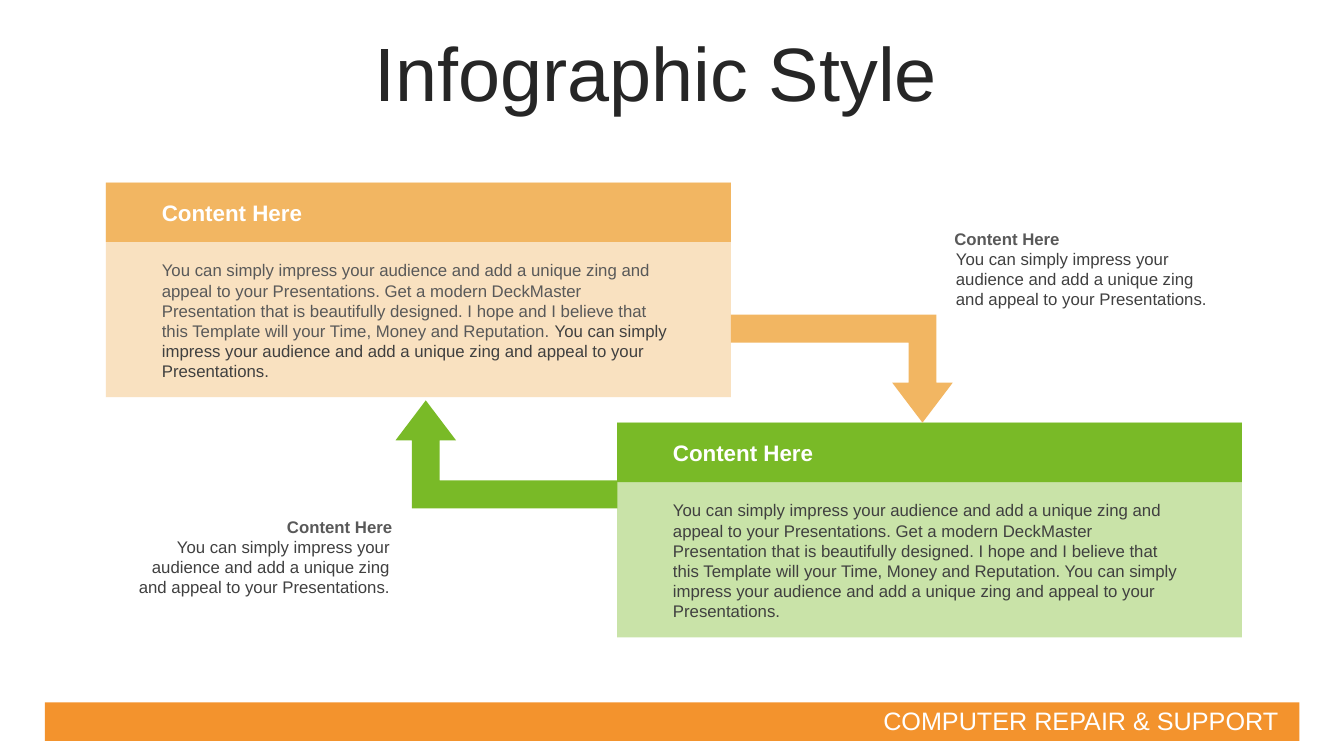
from dataclasses import dataclass

from lxml import etree
from pptx import Presentation
from pptx import util as u
from pptx.dml.color import RGBColor
from pptx.enum import shapes, text
from pptx.oxml.ns import qn

ORANGE, GREEN, FOOTER = "F2B662", "79BA27", "F3932D"
WHITE, BLACK, GREY, DARK = "FFFFFF", "262626", "595959", "404040"
LEFT, CENTER, RIGHT = text.PP_ALIGN.LEFT, text.PP_ALIGN.CENTER, text.PP_ALIGN.RIGHT

HEADING = "Content Here"
IMPRESS = ("You can simply impress your audience and add a unique zing "
           "and appeal to your Presentations.")
DETAIL = (IMPRESS + " Get a modern DeckMaster Presentation that is beautifully designed. "
          "I hope and I believe that this Template will your Time, Money and Reputation. ")


@dataclass
class Panel:
    left: float
    top: float
    color: str
    detail_color: str


@dataclass
class Arrow:
    left: float
    top: float
    color: str
    rotation: int


@dataclass
class Caption:
    left: float
    top: float
    align: text.PP_ALIGN


PANELS = [Panel(2.67, 4.6, ORANGE, GREY), Panel(15.55, 10.65, GREEN, DARK)]
ARROWS = [Arrow(9.97, 10.09, GREEN, 0), Arrow(18.42, 7.93, ORANGE, 180)]
CAPTIONS = [Caption(23.8, 5.64, LEFT), Caption(2.72, 12.89, RIGHT)]


def rgb(color: str) -> RGBColor:
    return RGBColor.from_string(color)


def add_span(para, words: str, *, size: float, color: str, bold: bool = False) -> None:
    span = para.add_run()
    span.text = words
    span.font.name = "Arial"
    span.font.size = u.Pt(size)
    span.font.bold = bold
    span.font.color.rgb = rgb(color)


def add_text(page, words: str, left: float, top: float, width: float, height: float, *,
             size: float = 12, color: str = DARK, bold: bool = False,
             align: text.PP_ALIGN = LEFT, wrap: bool = True):
    box = page.shapes.add_textbox(u.Cm(left), u.Cm(top), u.Cm(width), u.Cm(height))
    box.text_frame.word_wrap = wrap
    box.text_frame.auto_size = text.MSO_AUTO_SIZE.SHAPE_TO_FIT_TEXT
    para = box.text_frame.paragraphs[0]
    para.alignment = align
    add_span(para, words, size=size, color=color, bold=bold)
    return box


def add_filled(page, kind: shapes.MSO_SHAPE, left: float, top: float,
               width: float, height: float, color: str, opacity: int = 100):
    shape = page.shapes.add_shape(kind, u.Cm(left), u.Cm(top), u.Cm(width), u.Cm(height))
    shape.shadow.inherit = False
    shape.fill.solid()
    shape.fill.fore_color.rgb = rgb(color)
    shape.line.fill.background()
    if opacity < 100:
        tone = shape.element.spPr.find(qn("a:solidFill")).find(qn("a:srgbClr"))
        etree.SubElement(tone, qn("a:alpha")).set("val", str(opacity * 1000))
    return shape


def add_title(page, words: str) -> None:
    title = page.shapes.title
    title.left, title.top, title.width, title.height = map(u.Cm, (0, 0.94, 33.05, 2.01))
    title.text_frame.vertical_anchor = text.MSO_ANCHOR.MIDDLE
    title.text_frame.auto_size = text.MSO_AUTO_SIZE.NONE
    para = title.text_frame.paragraphs[0]
    para.alignment = CENTER
    para.line_spacing = 0.9
    add_span(para, words, size=54, color=BLACK)


def add_panel(page, panel: Panel) -> None:
    rectangle = shapes.MSO_SHAPE.RECTANGLE
    add_filled(page, rectangle, panel.left, panel.top, 15.75, 5.41, panel.color, 40)
    add_filled(page, rectangle, panel.left, panel.top, 15.75, 1.5, panel.color)
    inner = panel.left + 1.16
    add_text(page, HEADING, inner, panel.top + 0.29, 13.44, 0.94,
             size=16, color=WHITE, bold=True)
    box = add_text(page, DETAIL, inner, panel.top + 1.83, 13.44, 3.33,
                   color=panel.detail_color)
    add_span(box.text_frame.paragraphs[0], IMPRESS, size=12, color=DARK)


def add_arrow(page, arrow: Arrow) -> None:
    shape = add_filled(page, shapes.MSO_SHAPE.BENT_UP_ARROW,
                       arrow.left, arrow.top, 5.59, 2.72, arrow.color)
    for index, value in enumerate((0.258, 0.28, 0.37)):
        shape.adjustments[index] = value
    shape.element.spPr.find(qn("a:xfrm")).set("flipH", "1")
    shape.rotation = arrow.rotation


def add_caption(page, caption: Caption) -> None:
    add_text(page, IMPRESS, caption.left + 0.04, caption.top + 0.5, 7.32, 1.8,
             align=caption.align)
    add_text(page, HEADING, caption.left, caption.top, 7.42, 0.76,
             color=GREY, bold=True, align=caption.align)


def main() -> None:
    deck = Presentation()
    deck.slide_width, deck.slide_height = u.Cm(33.87), u.Cm(19.05)
    page = deck.slides.add_slide(deck.slide_layouts.get_by_name("Title Only"))

    # Footer band
    add_filled(page, shapes.MSO_SHAPE.RECTANGLE, 1.13, 17.7, 31.62, 0.97, FOOTER)
    footer = add_text(page, "COMPUTER REPAIR & SUPPORT", 22.01, 17.65, 10.74, 1.02,
                      size=18, color=WHITE, wrap=False)
    footer.text_frame.vertical_anchor = text.MSO_ANCHOR.MIDDLE

    # Title and cycle of panels
    add_title(page, "Infographic Style")
    for panel in PANELS:
        add_panel(page, panel)
    for arrow in ARROWS:
        add_arrow(page, arrow)

    # Side captions
    for caption in CAPTIONS:
        add_caption(page, caption)

    deck.save("out.pptx")


if __name__ == "__main__":
    main()
